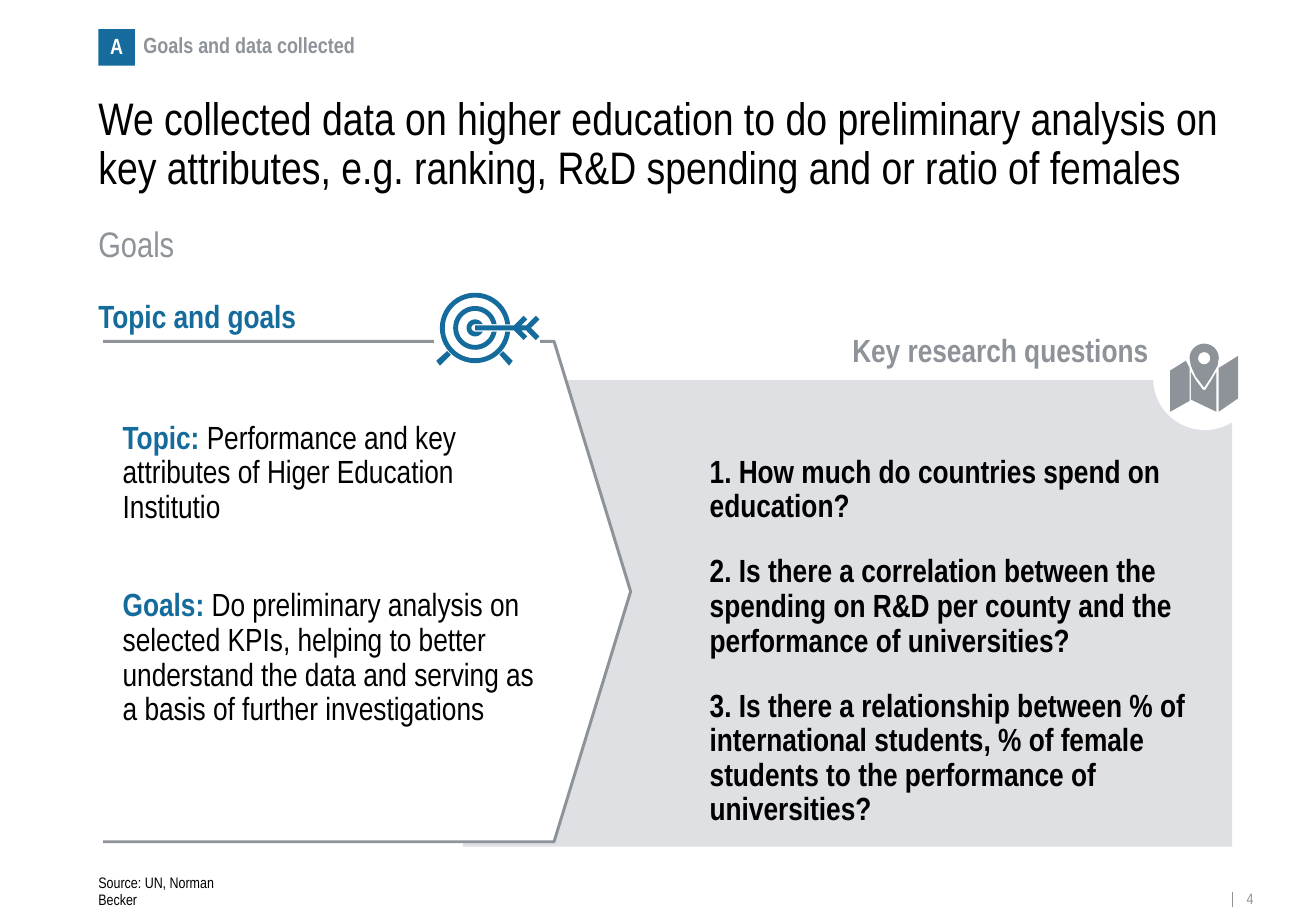
import math

from lxml import etree
from pptx import Presentation
from pptx.dml.color import RGBColor
from pptx.enum.shapes import MSO_CONNECTOR, MSO_SHAPE
from pptx.enum.text import MSO_ANCHOR, MSO_AUTO_SIZE, PP_ALIGN
from pptx.oxml.ns import qn
from pptx.util import Inches, Pt

LEFT, CENTER, RIGHT = PP_ALIGN.LEFT, PP_ALIGN.CENTER, PP_ALIGN.RIGHT
TOP, MIDDLE, BOTTOM = MSO_ANCHOR.TOP, MSO_ANCHOR.MIDDLE, MSO_ANCHOR.BOTTOM
GROW, FIXED = MSO_AUTO_SIZE.SHAPE_TO_FIT_TEXT, MSO_AUTO_SIZE.NONE
RECT, OVAL = MSO_SHAPE.RECTANGLE, MSO_SHAPE.OVAL

FONT = "Arial Narrow"
COLORS = {"blue": "156C9C", "gray": "8D9399", "panel": "DEE0E3",
          "white": "FFFFFF", "black": "000000"}

# Content
TITLE = ("We collected data on higher education to do preliminary analysis on "
         "key attributes, e.g. ranking, R&D spending and or ratio of females")
SUBTITLE = "Goals"
SECTION_LETTER, SECTION = "A", "Goals and data collected"
SOURCE = "Source: UN, Norman Becker"
PAGE = "4"
GOALS_HEADING = "Topic and goals"
QUESTIONS_HEADING = "Key research questions"
GOALS = [  # label, text, box
    ("Topic: ", "Performance and key attributes of Higer Education Institutio",
     (1.01, 3.47, 3.43, 0.86)),
    ("Goals: ", "Do preliminary analysis on selected KPIs, helping to better "
     "understand the data and serving as a basis of further investigations",
     (1.01, 4.85, 3.4, 1.15)),
]
QUESTIONS = [
    "1. How much do countries spend on education?",
    "2. Is there a correlation between the spending on R&D per county and the "
    "performance of universities?",
    "3. Is there a relationship between % of international students, % of female "
    "students to the performance of universities?",
]

# Icon geometry
TARGET_CENTER = (3.91, 2.7)
TARGET_RINGS = [(0.29, 0.25), (0.18, 0.14), (0.07, 0.03)]
RING_GAP = 0.03
TARGET_PARTS = [
    [(3.59, 2.97), (3.62, 3.01), (3.71, 2.92), (3.68, 2.89)],
    [(4.11, 2.92), (4.19, 3.01), (4.22, 2.97), (4.14, 2.89)],
    [(4.41, 2.8), (4.44, 2.77), (4.37, 2.7), (4.44, 2.63), (4.41, 2.6),
     (4.33, 2.68), (4.29, 2.68), (4.34, 2.63), (4.31, 2.6), (4.23, 2.68),
     (3.91, 2.68), (3.91, 2.72), (4.23, 2.72), (4.31, 2.8), (4.34, 2.77),
     (4.29, 2.72), (4.33, 2.72)],
]
MAP_FOLDS = [
    [(9.63, 3.05), (9.76, 2.97), (9.79, 3.03), (9.79, 3.3), (9.63, 3.39)],
    [(9.8, 3.06), (9.84, 3.13), (9.9, 3.21), (9.92, 3.21), (9.97, 3.13),
     (10.01, 3.06), (10.01, 3.39), (9.8, 3.29)],
    [(10.03, 3.03), (10.19, 2.93), (10.19, 3.28), (10.03, 3.39)],
]
PIN_CENTER, PIN_RADIUS, PIN_HOLE = (9.91, 2.95), 0.12, 0.05
PIN_TIP = [(10.02, 3.01), (9.97, 3.1), (9.91, 3.19), (9.84, 3.1), (9.8, 3.01)]

prs = Presentation()
prs.slide_width, prs.slide_height = Inches(10.83), Inches(7.5)
slide = prs.slides.add_slide(prs.slide_layouts[5])
shapes = slide.shapes


def rgb(name):
    return RGBColor.from_string(COLORS[name])


def paint(shape, fill, line=None, weight=0.75):
    shape.shadow.inherit = False
    shape.fill.solid()
    shape.fill.fore_color.rgb = rgb(fill)
    if line:
        shape.line.color.rgb = rgb(line)
        shape.line.width = Pt(weight)
    else:
        shape.line.fill.background()


def block(kind, box, fill, line=None):
    shape = shapes.add_shape(kind, *map(Inches, box))
    paint(shape, fill, line)
    return shape


def outline(contours, fill, line=None, weight=0.75, close=True):
    emu = [[(Inches(x), Inches(y)) for x, y in points] for points in contours]
    builder = shapes.build_freeform(*emu[0][0], scale=1.0)
    for i, points in enumerate(emu):
        if i:
            builder.move_to(*points[0])
        builder.add_line_segments(points[1:], close=close)
    paint(builder.convert_to_shape(), fill, line, weight)


def arc(center, radius, start, end, steps=48):
    angles = [start + (end - start) * i / steps for i in range(steps + 1)]
    return [(center[0] + radius * math.cos(a), center[1] + radius * math.sin(a))
            for a in angles]


def write(paragraphs, box=None, holder=None, size=19, color="black", bold=False,
          align=LEFT, anchor=TOP, before=0, wrap=True, grow=True, insets=(0, 0)):
    """Each paragraph is a string or a list of (text, color, bold) runs."""
    holder = holder or shapes.add_textbox(*map(Inches, box))
    frame = holder.text_frame
    frame.word_wrap = wrap
    frame.auto_size = GROW if grow else FIXED
    frame.vertical_anchor = anchor
    frame.margin_left, frame.margin_bottom = map(Inches, insets)
    frame.margin_top = frame.margin_right = 0
    for i, content in enumerate(paragraphs):
        para = frame.add_paragraph() if i else frame.paragraphs[0]
        para.alignment, para.line_spacing = align, 0.9
        para.space_before = Pt(before)
        runs = [(content, color, bold)] if isinstance(content, str) else content
        for text, run_color, run_bold in runs:
            run = para.add_run()
            run.text = text
            run.font.name, run.font.size = FONT, Pt(size)
            run.font.bold, run.font.color.rgb = run_bold, rgb(run_color)


# Title and section marker
title = shapes.title
title.left, title.top, title.width, title.height = map(Inches, (0.81, 0.79, 9.34, 0.82))
write([TITLE], holder=title, size=27, grow=False)
write([SUBTITLE], (0.81, 1.87, 9.34, 0.33), size=21, color="gray")
write([SECTION_LETTER], holder=block(RECT, (0.81, 0.24, 0.3, 0.3), "blue"), size=13,
      color="white", bold=True, align=CENTER, anchor=MIDDLE, before=4,
      wrap=False, grow=False)
write([SECTION], (1.18, 0.28, 1.75, 0.2), size=13, color="gray", bold=True,
      anchor=MIDDLE, before=4, wrap=False)

# Panels
block(RECT, (3.81, 3.13, 6.33, 3.84), "panel")
block(OVAL, (9.49, 2.69, 0.85, 0.85), "white")
outline([[(0.85, 2.81), (4.56, 2.81), (5.19, 4.87), (4.56, 6.93), (0.85, 6.93)]],
        "white", "gray", 1.75, close=False)

# Headings and body text
heading = {"bold": True, "before": 18, "insets": (0, 0.08)}
write([GOALS_HEADING], (0.81, 2.48, 3.6, 0.37), color="blue", **heading)
write([QUESTIONS_HEADING], (5.85, 2.76, 3.6, 0.37), color="gray", align=RIGHT, **heading)
for label, text, box in GOALS:
    write([[(label, "blue", True), (text, "black", False)]], box, before=8)
write(QUESTIONS, (5.65, 3.75, 4.39, 3.09), bold=True, before=18, insets=(0.19, 0))

# Map icon
for fold in MAP_FOLDS:
    outline([fold], "gray")
outline([arc(PIN_CENTER, PIN_RADIUS, -math.pi, 0) + PIN_TIP,
         arc(PIN_CENTER, PIN_HOLE, 0, 2 * math.pi)], "gray")

# Target icon, with a white gap in the panel border behind it
block(RECT, (3.58, 2.76, 0.86, 0.18), "white", "white")
for outer, inner in TARGET_RINGS:
    a, b = math.asin(RING_GAP / outer), math.asin(RING_GAP / inner)
    outline([arc(TARGET_CENTER, outer, a, 2 * math.pi - a)
             + arc(TARGET_CENTER, inner, 2 * math.pi - b, b)], "blue")
for part in TARGET_PARTS:
    outline([part], "blue")

# Footer
write([SOURCE], (0.81, 7.34, 1.26, 0.14), size=9, anchor=BOTTOM, wrap=False)
write([PAGE], (10.26, 7.34, 0.13, 0.14), size=9, color="gray", wrap=False)
divider = shapes.add_connector(MSO_CONNECTOR.STRAIGHT,
                               *map(Inches, (10.14, 7.34, 10.14, 7.47)))
divider.line.color.rgb = rgb("gray")
divider.line.width = Pt(0.75)
etree.SubElement(divider.element.spPr, qn("a:effectLst"))

prs.save("out.pptx")
